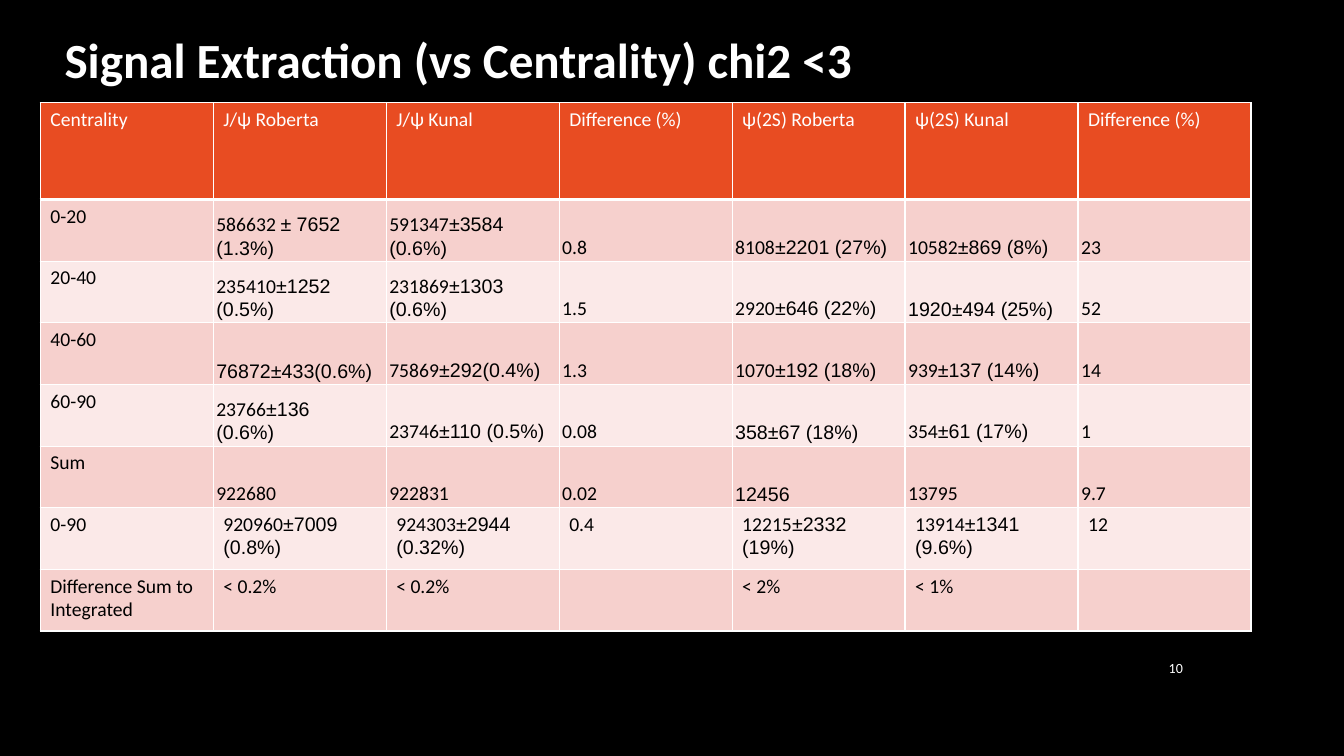
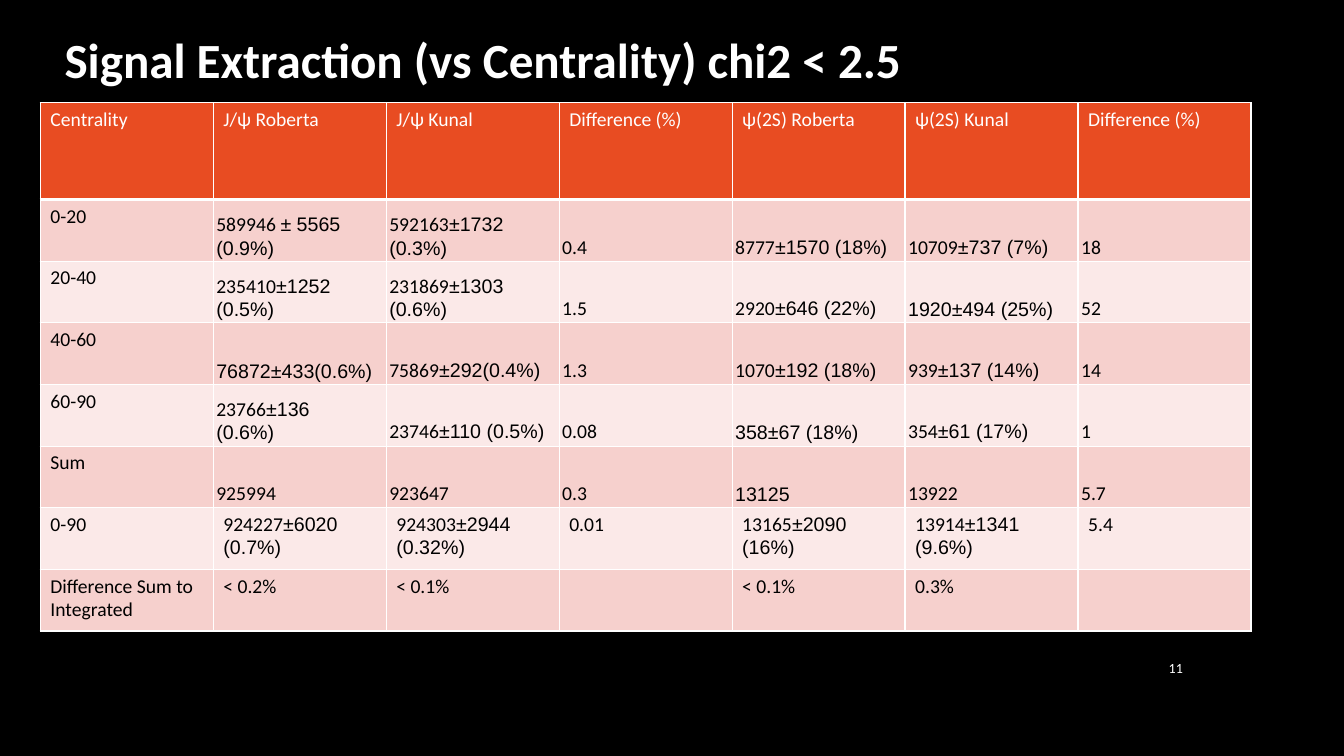
from pptx import Presentation
from pptx.dml.color import RGBColor
from pptx.enum import text as tx
from pptx.oxml.ns import qn
from pptx.util import Inches, Pt
from lxml import etree

# Shared look
BLACK, WHITE = "000000", "FFFFFF"
HEADER_FILL = "E84C22"
BAND_FILLS = ("F6D0CD", "FBE9E8")
LABEL_FONT, ERROR_FONT = "Calibri", "Arial"

# Table geometry
TABLE_BOX = (0.4, 1.02, 12.01, 5.24)
HEADER_HEIGHT = 0.96
TIGHT_ROWS = range(1, 6)

# Content: text after "|" is set in the error font
HEADINGS = ("Centrality", "J/ψ Roberta", "J/ψ Kunal", "Difference (%)",
            "ψ(2S) Roberta", "ψ(2S) Kunal", "Difference (%)")
SHARED_BINS = [
    ("20-40", "235410|±1252 (0.5%)", "231869|±1303 (0.6%)", "1.5",
     "2920|±646 (22%)", "|1920±494 (25%)", "52"),
    ("40-60", "|76872±433(0.6%)", "75869|±292(0.4%)", "1.3",
     "1070|±192 (18%)", "939|±137 (14%)", "14"),
    ("60-90", "23766|±136\n(0.6%)", "23746|±110 (0.5%)", "0.08",
     "|358±67 (18%)", "354|±61 (17%)", "1"),
]
CHI2_BELOW_3 = [
    ("0-20", "586632 |± 7652 (1.3%)", "591347|±3584 (0.6%)", "0.8",
     "8108|±2201 (27%)", "10582|±869 (8%)", "23"),
    *SHARED_BINS,
    ("Sum", "922680", "922831", "0.02", "|12456", "13795", "9.7"),
    ("0-90", "920960|±7009 (0.8%)", "924303|±2944 (0.32%)", "0.4",
     "12215|±2332 (19%)", "13914|±1341 (9.6%)", "12"),
    ("Difference Sum to Integrated", "< 0.2%", "< 0.2%", "", "< 2%", "< 1%", ""),
]
CHI2_BELOW_2_5 = [
    ("0-20", "589946 |± 5565 (0.9%)", "592163|±1732 (0.3%)", "0.4",
     "8777|±1570 (18%)", "10709|±737 (7%)", "18"),
    *SHARED_BINS,
    ("Sum", "925994", "923647", "0.3", "|13125", "13922", "5.7"),
    ("0-90", "924227|±6020 (0.7%)", "924303|±2944 (0.32%)", "0.01",
     "13165|±2090 (16%)", "13914|±1341 (9.6%)", "5.4"),
    ("Difference Sum to Integrated", "< 0.2%", "< 0.1%", "", "< 0.1%", "0.3%", ""),
]


def rgb(hex_color):
    return RGBColor.from_string(hex_color)


def write(frame, content, size=14, color=BLACK, bold=False,
          align=tx.PP_ALIGN.LEFT, spacing=None):
    """Write one paragraph; "|" switches font and a newline breaks the line."""
    paragraph = frame.paragraphs[0]
    paragraph.alignment = align
    paragraph.line_spacing = spacing
    for part, face in zip(content.split("|"), (LABEL_FONT, ERROR_FONT)):
        for number, line in enumerate(part.split("\n")):
            if number:
                paragraph.add_line_break()
            if line:
                run = paragraph.add_run()
                run.text = line
                run.font.name = face
                run.font.size = Pt(size)
                run.font.bold = bold
                run.font.color.rgb = rgb(color)


def set_borders(cell, bottom=1):
    properties = cell._tc.get_or_add_tcPr()
    for side, width in (("L", 1), ("R", 1), ("T", 1), ("B", bottom)):
        edge = etree.SubElement(properties, qn(f"a:ln{side}"), w=str(Pt(width)))
        fill = etree.SubElement(edge, qn("a:solidFill"))
        etree.SubElement(fill, qn("a:srgbClr"), val=WHITE)


def set_fill(cell, color):
    cell.fill.solid()
    cell.fill.fore_color.rgb = rgb(color)


def tighten(cell):
    cell.vertical_anchor = tx.MSO_ANCHOR.BOTTOM
    cell.margin_left = cell.margin_right = Inches(0.03)
    cell.margin_top = cell.margin_bottom = Inches(0.02)


def add_title(slide, content):
    title = slide.shapes.title
    title.left, title.top = Inches(0.54), Inches(0.24)
    title.width, title.height = Inches(11.28), Inches(0.76)
    frame = title.text_frame
    frame.auto_size = tx.MSO_AUTO_SIZE.NONE
    frame.vertical_anchor = tx.MSO_ANCHOR.MIDDLE
    write(frame, content, size=35.1, color=WHITE, bold=True, spacing=0.9)


def add_page_number(slide, number):
    box = slide.shapes.add_textbox(Inches(11.23), Inches(6.42),
                                   Inches(0.6), Inches(0.41))
    frame = box.text_frame
    frame.word_wrap = True
    frame.vertical_anchor = tx.MSO_ANCHOR.MIDDLE
    write(frame, str(number), size=10, color=WHITE, align=tx.PP_ALIGN.RIGHT)


def add_yield_table(slide, results):
    rows = [HEADINGS, *results]
    table = slide.shapes.add_table(len(rows), len(HEADINGS),
                                   *map(Inches, TABLE_BOX)).table
    row_height = Inches((TABLE_BOX[3] - HEADER_HEIGHT) / len(results))
    for r, values in enumerate(rows):
        header = r == 0
        table.rows[r].height = Inches(HEADER_HEIGHT) if header else row_height
        for c, value in enumerate(values):
            cell = table.cell(r, c)
            set_borders(cell, bottom=3 if header else 1)
            set_fill(cell, HEADER_FILL if header else BAND_FILLS[(r - 1) % 2])
            if r in TIGHT_ROWS and c > 0:
                tighten(cell)
            write(cell.text_frame, value, color=WHITE if header else BLACK)


def main():
    prs = Presentation()
    prs.slide_width, prs.slide_height = Inches(13.33), Inches(7.5)

    # Black background for every slide
    background = prs.slide_master.background.fill
    background.solid()
    background.fore_color.rgb = rgb(BLACK)

    # One slide per chi2 cut
    cuts = (("<3", CHI2_BELOW_3), ("< 2.5", CHI2_BELOW_2_5))
    for number, (cut, results) in enumerate(cuts, start=10):
        slide = prs.slides.add_slide(prs.slide_layouts[5])
        add_page_number(slide, number)
        add_title(slide, f"Signal Extraction (vs Centrality) chi2 {cut}")
        add_yield_table(slide, results)

    prs.save("out.pptx")


if __name__ == "__main__":
    main()
